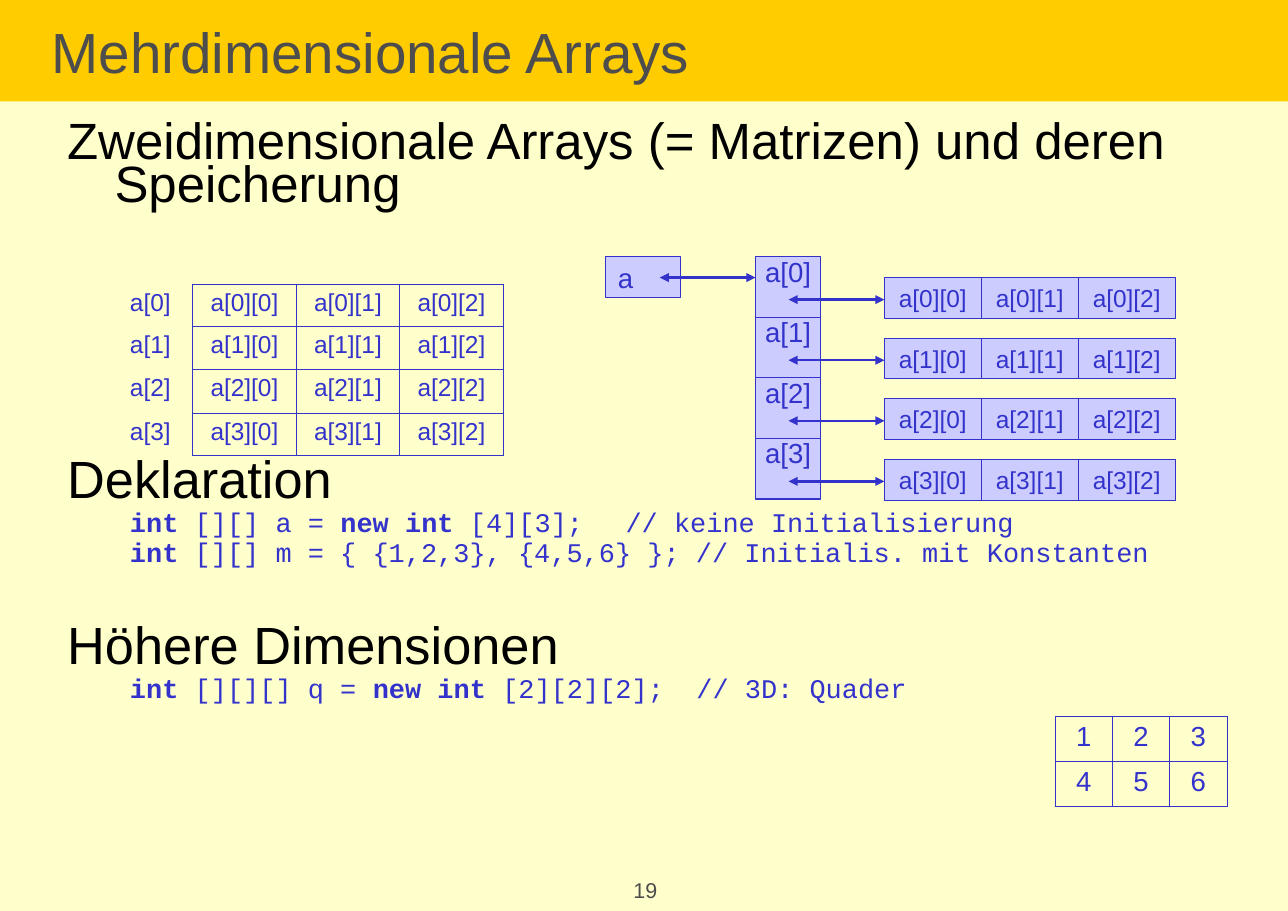
from lxml import etree
from pptx import Presentation
from pptx.dml.color import RGBColor
from pptx.enum.shapes import MSO_CONNECTOR, MSO_SHAPE
from pptx.enum.text import MSO_ANCHOR, MSO_AUTO_SIZE, PP_ALIGN
from pptx.oxml.ns import qn
from pptx.util import Inches, Pt

LEFT, CENTER = PP_ALIGN.LEFT, PP_ALIGN.CENTER
TOP, MIDDLE = MSO_ANCHOR.TOP, MSO_ANCHOR.MIDDLE
RECTANGLE, STRAIGHT = MSO_SHAPE.RECTANGLE, MSO_CONNECTOR.STRAIGHT
NO_AUTOFIT = MSO_AUTO_SIZE.NONE

# A4 landscape in whole points
PAGE_SIZE = {"slide_width": Pt(842), "slide_height": Pt(595.38)}
COLORS = {
    "background": "FFFFCC",
    "title_bar": "FFCC00",
    "gray": "4D4D4D",
    "black": "000000",
    "blue": "3333CC",
    "lilac": "CCCCFF",
}
ROWS, COLUMNS = 4, 3
COMMENT_TAB = 5.12
HEADING, CODE = "heading", "code"

# kind, size, space before, runs as (text, bold)
BODY = [
    (HEADING, 33.3, 0,
     [("Zweidimensionale Arrays (= Matrizen) und deren Speicherung", False)]),
    (HEADING, 34.2, 164.5, [("Deklaration", False)]),
    (CODE, 17.6, 4.8, [("int", True), (" [][] a = ", False), ("new int", True),
                       (" [4][3];\t// keine Initialisierung", False)]),
    (CODE, 17.6, 4.8, [("int", True),
                       (" [][] m = { {1,2,3}, {4,5,6} }; // Initialis. mit Konstanten", False)]),
    (HEADING, 34.2, 41, [("Höhere Dimensionen", False)]),
    (CODE, 17.6, 4.8, [("int", True), (" [][][] q = ", False), ("new int", True),
                       (" [2][2][2];  // 3D: Quader", False)]),
]


def rgb(name):
    return RGBColor.from_string(COLORS[name])


def set_format(target, values):
    for name, value in values.items():
        setattr(target, name, value)


def format_frame(frame, anchor=TOP, wrap=True, left=0.11, top=0.06):
    set_format(frame, {
        "auto_size": NO_AUTOFIT, "word_wrap": wrap, "vertical_anchor": anchor,
        "margin_left": Inches(left), "margin_right": Inches(0.11),
        "margin_top": Inches(top), "margin_bottom": Inches(0.06),
    })


def add_run(paragraph, text, size, color="blue", font="Arial", bold=False):
    run = paragraph.add_run()
    run.text = text
    set_format(run.font, {"size": Pt(size), "name": font, "bold": bold})
    run.font.color.rgb = rgb(color)


def place(shape, box):
    set_format(shape, dict(zip(("left", "top", "width", "height"), map(Inches, box))))


def add_title(slide, box):
    title = slide.shapes.title
    place(title, box)
    title.fill.solid()
    title.fill.fore_color.rgb = rgb("title_bar")
    format_frame(title.text_frame, MIDDLE, left=0.47)
    paragraph = title.text_frame.paragraphs[0]
    paragraph.alignment = LEFT
    add_run(paragraph, "Mehrdimensionale Arrays", 37, "gray")


def add_body(slide, box):
    body = slide.placeholders[1]
    place(body, box)
    frame = body.text_frame
    format_frame(frame)
    for index, (kind, size, space, runs) in enumerate(BODY):
        paragraph = frame.add_paragraph() if index else frame.paragraphs[0]
        is_code = kind == CODE
        set_format(paragraph, {
            "alignment": LEFT, "level": int(is_code), "line_spacing": 0.7,
            "space_before": Pt(space), "space_after": Pt(0),
        })
        # Hanging headings, indented code, no bullets
        properties = paragraph._p.get_or_add_pPr()
        margin, indent = (0.57, 0) if is_code else (0.43, -0.43)
        properties.set("marL", str(Inches(margin)))
        properties.set("indent", str(Inches(indent)))
        etree.SubElement(properties, qn("a:buNone"))
        if is_code:
            tabs = etree.SubElement(properties, qn("a:tabLst"))
            etree.SubElement(tabs, qn("a:tab"), pos=str(Inches(COMMENT_TAB)), algn="l")
        color, font = ("blue", "Courier New") if is_code else ("black", "Arial")
        for text, bold in runs:
            add_run(paragraph, text, size, color, font, bold)


def set_borders(cell, visible):
    properties = cell._tc.get_or_add_tcPr()
    for index, side in enumerate("LRTB"):
        line = etree.Element(qn("a:ln" + side), w=str(Pt(0.45)))
        if side in visible:
            fill = etree.SubElement(line, qn("a:solidFill"))
            etree.SubElement(fill, qn("a:srgbClr"), val=COLORS["blue"])
        else:
            etree.SubElement(line, qn("a:noFill"))
        properties.insert(index, line)


def add_grid(slide, box, values, widths, heights, size, has_labels=False):
    table = slide.shapes.add_table(len(heights), len(widths), *map(Inches, box)).table
    set_format(table, {"first_row": False, "horz_banding": False})
    for column, width in zip(table.columns, widths):
        column.width = Inches(width)
    for row, height, texts in zip(table.rows, heights, values):
        row.height = Inches(height)
        for index, (cell, text) in enumerate(zip(row.cells, texts)):
            is_label = has_labels and index == 0
            set_format(cell, {"margin_left": Inches(0.11), "margin_right": Inches(0.11),
                              "margin_top": Inches(0.05), "margin_bottom": Inches(0.05)})
            cell.fill.background()
            set_borders(cell, "R" if is_label else "LRTB")
            paragraph = cell.text_frame.paragraphs[0]
            paragraph.alignment = LEFT if is_label else CENTER
            add_run(paragraph, text, size)


def add_memory_cell(slide, box, text, size, alignment=CENTER, anchor=MIDDLE, top=0.06):
    shape = slide.shapes.add_shape(RECTANGLE, *map(Inches, box))
    shape.shadow.inherit = False
    shape.fill.solid()
    shape.fill.fore_color.rgb = rgb("lilac")
    shape.line.color.rgb = rgb("blue")
    shape.line.width = Pt(0.75)
    format_frame(shape.text_frame, anchor, wrap=False, top=top)
    paragraph = shape.text_frame.paragraphs[0]
    paragraph.alignment = alignment
    add_run(paragraph, text, size)


def add_double_arrow(slide, start, end, y):
    arrow = slide.shapes.add_connector(STRAIGHT, *map(Inches, (start, y, end, y)))
    arrow.line.color.rgb = rgb("blue")
    arrow.line.width = Pt(1.5)
    line = arrow.line._get_or_add_ln()
    for end_name in ("headEnd", "tailEnd"):
        etree.SubElement(line, qn("a:" + end_name), type="triangle")
    etree.SubElement(arrow._element.spPr, qn("a:effectLst"))


def add_memory_diagram(slide, left, top):
    pitch, cell_width, cell_height = 0.55, 0.88, 0.37
    pointer_left, rows_left = left + 1.36, left + 2.53
    # Variable, then pointer column and row arrays
    add_memory_cell(slide, (left, top, 0.68, cell_height), "a", 18, LEFT)
    for row in range(ROWS):
        row_top = top + row * pitch
        add_memory_cell(slide, (pointer_left, row_top, 0.59, pitch), f"a[{row}]", 18,
                        anchor=TOP, top=-0.02)
        for column in range(COLUMNS):
            add_memory_cell(slide, (rows_left + column * cell_width, row_top + 0.19,
                                    cell_width, cell_height), f"a[{row}][{column}]", 16)
    # Arrows lie above all cells
    add_double_arrow(slide, left + 0.49, pointer_left, top + 0.19)
    for row in range(ROWS):
        add_double_arrow(slide, pointer_left + 0.3, rows_left, top + 0.39 + row * pitch)


def add_page_number(slide, box):
    number = slide.shapes.add_textbox(*map(Inches, box))
    format_frame(number.text_frame)
    paragraph = number.text_frame.paragraphs[0]
    paragraph.alignment = CENTER
    add_run(paragraph, "19", 14, "gray")


def main():
    presentation = Presentation()
    set_format(presentation, PAGE_SIZE)
    slide = presentation.slides.add_slide(presentation.slide_layouts[1])
    slide.background.fill.solid()
    slide.background.fill.fore_color.rgb = rgb("background")

    add_title(slide, (0, 0, 11.7, 0.92))
    add_body(slide, (0.5, 1.08, 11.19, 6.17))
    add_grid(slide, (9.58, 6.5, 1.56, 0.82), ["123", "456"], [0.52] * 3, [0.41] * 2, 18)
    matrix = [[f"a[{row}]"] + [f"a[{row}][{column}]" for column in range(COLUMNS)]
              for row in range(ROWS)]
    add_grid(slide, (1.07, 2.58, 3.5, 1.55), matrix, [0.68] + [0.94] * COLUMNS,
             [0.38, 0.39, 0.4, 0.38], 16, has_labels=True)
    add_memory_diagram(slide, 5.5, 2.33)
    add_page_number(slide, (5.13, 7.9, 1.46, 0.37))
    presentation.save("out.pptx")


if __name__ == "__main__":
    main()
